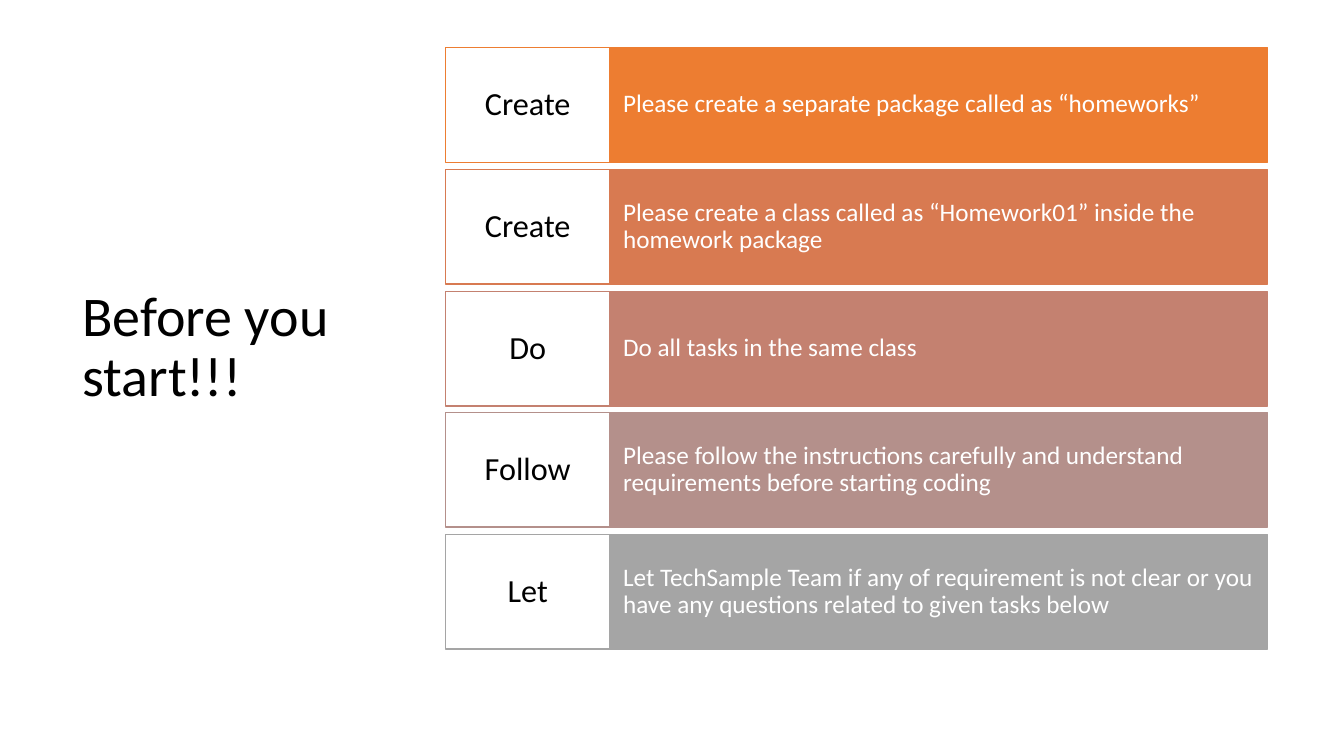
from pptx import Presentation
from pptx import util as u
from pptx.dml.color import RGBColor
from pptx.enum import shapes, text

PX = 9144  # 100 px to the inch
COLORS = {
    "white": "FFFFFF",
    "black": "000000",
    "orange": "ED7D31",
    "copper": "D87A51",
    "clay": "C48170",
    "mauve": "B4908B",
    "gray": "A5A5A5",
}
STEPS = [
    ("Create", "Please create a separate package called as “homeworks”", "orange"),
    ("Create", "Please create a class called as “Homework01” inside the homework package", "copper"),
    ("Do", "Do all tasks in the same class", "clay"),
    ("Follow", "Please follow the instructions carefully and understand "
               "requirements before starting coding", "mauve"),
    ("Let", "Let TechSample Team if any of requirement is not clear or you "
            "have any questions related to given tasks below", "gray"),
]
TOP, HEIGHT, PITCH = 47, 114, 120.75
LABEL_LEFT, LABEL_WIDTH = 442, 163
DETAIL_LEFT, DETAIL_WIDTH = LABEL_LEFT + LABEL_WIDTH, 652


def color(name):
    return RGBColor.from_string(COLORS[name])


def add_box(words, left, top, width, height, size, ink, fill=None, line=None,
            align=text.PP_ALIGN.LEFT, inset=(10, 5)):
    """Add a text box, or a rectangle with text when a fill is given."""
    area = [value * PX for value in (left, top, width, height)]
    if fill:
        box = page.shapes.add_shape(shapes.MSO_SHAPE.RECTANGLE, *area)
        box.shadow.inherit = False
        box.fill.solid()
        box.fill.fore_color.rgb = color(fill)
        box.line.color.rgb = color(line)
        box.line.width = u.Pt(1)
    else:
        box = page.shapes.add_textbox(*area)
    frame = box.text_frame
    frame.word_wrap = True
    frame.vertical_anchor = text.MSO_ANCHOR.MIDDLE
    frame.margin_left = frame.margin_right = inset[0] * PX
    frame.margin_top = frame.margin_bottom = inset[1] * PX
    para = frame.paragraphs[0]
    para.alignment = align
    para.line_spacing = 0.9
    span = para.add_run()
    span.text = words
    span.font.name = "Calibri"
    span.font.size = u.Pt(size)
    span.font.color.rgb = color(ink)


deck = Presentation()
deck.slide_width = 1333 * PX
deck.slide_height = 750 * PX
page = deck.slides.add_slide(deck.slide_layouts[6])

add_box("Before you start!!!", 72, TOP, 310, 597, size=40, ink="black")

for index, (label, detail, shade) in enumerate(STEPS):
    top = TOP + round(index * PITCH)
    add_box(detail, DETAIL_LEFT, top, DETAIL_WIDTH, HEIGHT, size=18, ink="white",
            fill=shade, line=shade, inset=(13, 29))
    add_box(label, LABEL_LEFT, top, LABEL_WIDTH, HEIGHT, size=23, ink="black",
            fill="white", line=shade, align=text.PP_ALIGN.CENTER, inset=(9, 11))

deck.save("out.pptx")
